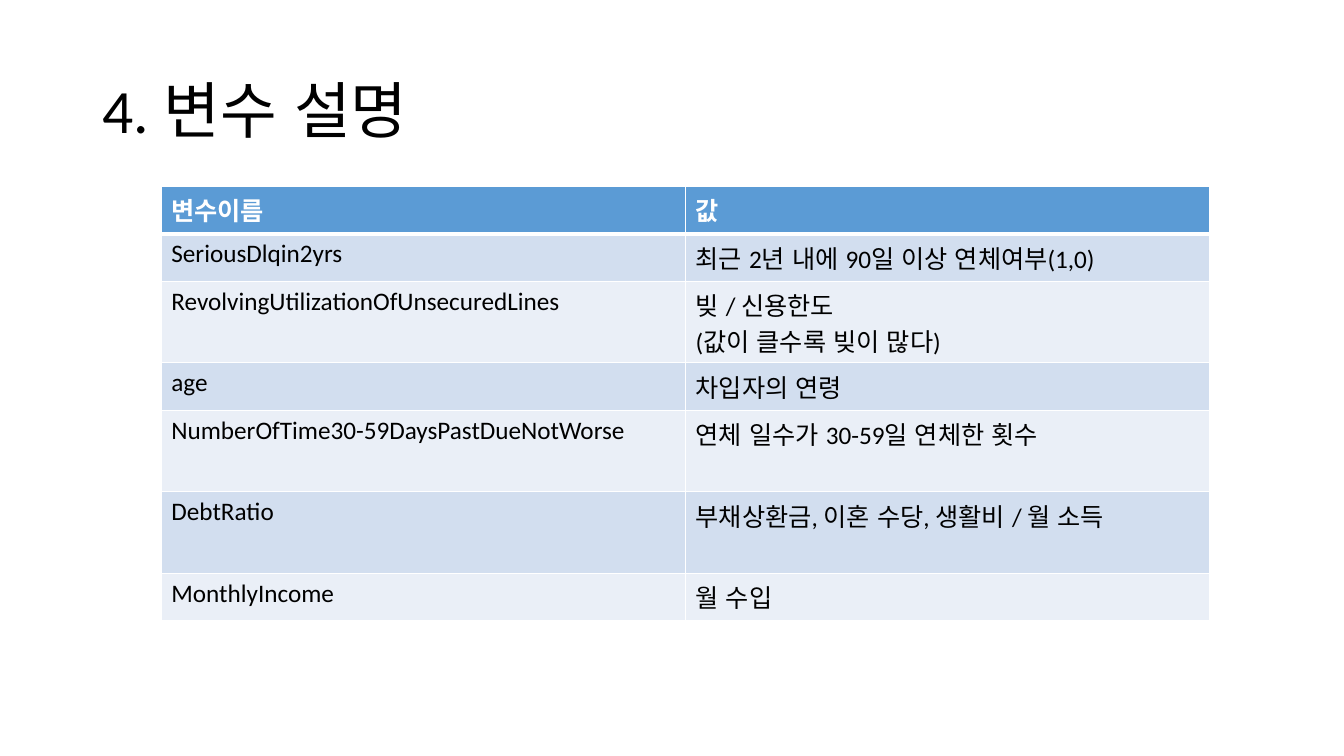
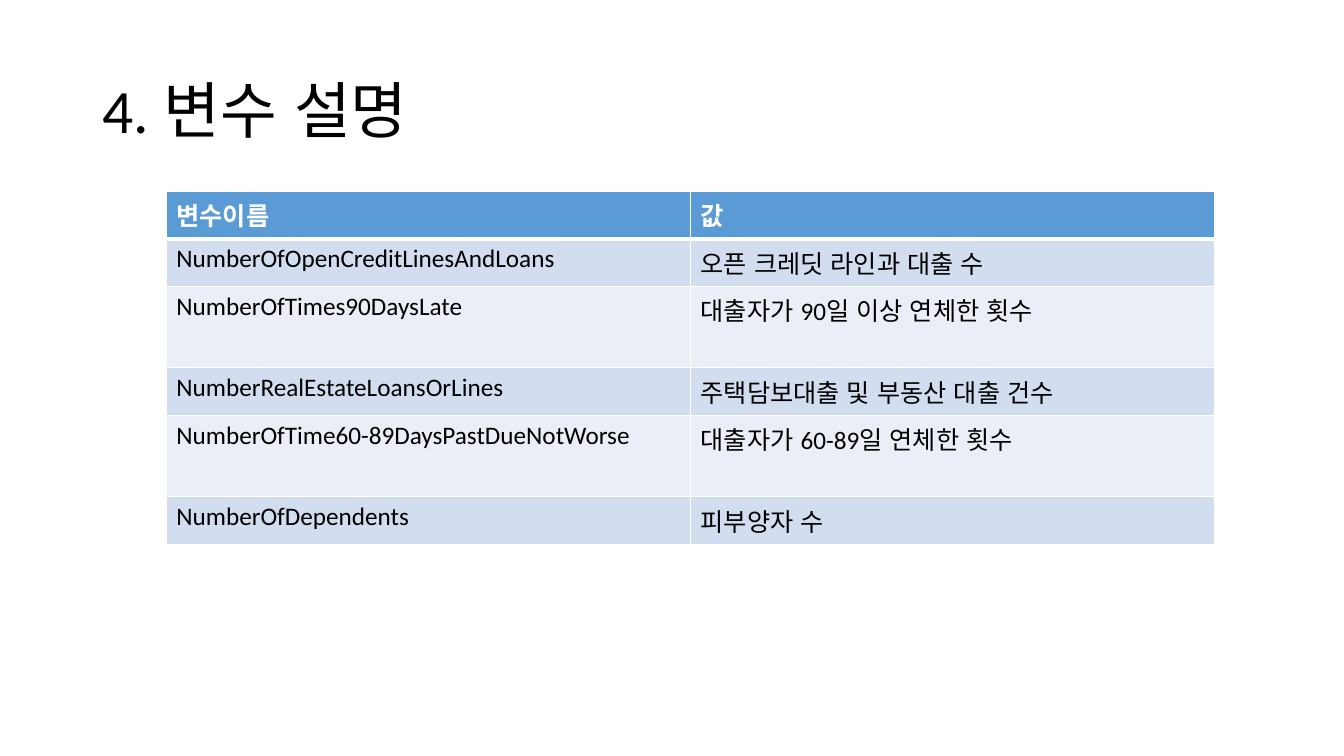
from lxml import etree
from pptx import Presentation
from pptx.dml.color import RGBColor
from pptx.enum.lang import MSO_LANGUAGE_ID as LANG
from pptx.enum.text import MSO_ANCHOR
from pptx.oxml.ns import qn
from pptx.util import Inches, Pt

# Content: table position and (variable, description lines, row height)
TITLE = "4. 변수 설명"
HEADER = ("변수이름", ["값"])
SINGLE, DOUBLE = 0.47, 0.81
SLIDES = [
    (1.6, 1.85, [
        ("SeriousDlqin2yrs", ["최근 2년 내에 90일 이상 연체여부(1,0)"], SINGLE),
        ("RevolvingUtilizationOfUnsecuredLines",
         ["빚 / 신용한도", "(값이 클수록 빚이 많다)"], DOUBLE),
        ("age", ["차입자의 연령"], SINGLE),
        ("NumberOfTime30-59DaysPastDueNotWorse",
         ["연체 일수가 30-59일 연체한 횟수"], DOUBLE),
        ("DebtRatio", ["부채상환금, 이혼 수당, 생활비 / 월 소득"], DOUBLE),
        ("MonthlyIncome", ["월 수입"], SINGLE),
    ]),
    (1.65, 1.9, [
        ("NumberOfOpenCreditLinesAndLoans", ["오픈 크레딧 라인과 대출 수"], SINGLE),
        ("NumberOfTimes90DaysLate", ["대출자가 90일 이상 연체한 횟수"], DOUBLE),
        ("NumberRealEstateLoansOrLines", ["주택담보대출 및 부동산 대출 건수"], SINGLE),
        ("NumberOfTime60-89DaysPastDueNotWorse",
         ["대출자가 60-89일 연체한 횟수"], DOUBLE),
        ("NumberOfDependents", ["피부양자 수"], SINGLE),
    ]),
]

# Shared style
FONT = "Calibri"
BLACK = RGBColor(0x00, 0x00, 0x00)
WHITE = RGBColor(0xFF, 0xFF, 0xFF)
BLUE = RGBColor(0x5B, 0x9B, 0xD5)
BANDS = (RGBColor(0xD2, 0xDE, 0xEF), RGBColor(0xEA, 0xEF, 0xF7))
COL_WIDTH = 5.2


def add_run(p, text, size, color, bold=False):
    r = p.add_run()
    r.text = text
    f = r.font
    f.name, f.size, f.bold = FONT, Pt(size), bold
    f.color.rgb = color
    f.language_id = LANG.KOREAN


def add_title(slide):
    tf = slide.shapes.add_textbox(
        Inches(0.92), Inches(0.4), Inches(11.5), Inches(1.45)).text_frame
    tf.word_wrap = True
    tf.vertical_anchor = MSO_ANCHOR.MIDDLE
    p = tf.paragraphs[0]
    p.line_spacing = 0.9
    add_run(p, TITLE, 44, BLACK)


def set_borders(cell, top, bottom):
    tcPr = cell._tc.get_or_add_tcPr()
    for side, width in (("L", 1), ("R", 1), ("T", top), ("B", bottom)):
        ln = etree.SubElement(tcPr, qn(f"a:ln{side}"), w=str(Pt(width)))
        fill = etree.SubElement(ln, qn("a:solidFill"))
        etree.SubElement(fill, qn("a:srgbClr"), val=str(WHITE))


def fill_cell(cell, lines, row):
    header = row == 0
    # The rule under the header is thicker
    set_borders(cell, 3 if row == 1 else 1, 3 if header else 1)
    cell.fill.solid()
    cell.fill.fore_color.rgb = BLUE if header else BANDS[(row - 1) % 2]
    tf = cell.text_frame
    for i, line in enumerate(lines):
        p = tf.add_paragraph() if i else tf.paragraphs[0]
        add_run(p, line, 18, WHITE if header else BLACK, header)


def add_variable_table(slide, left, top, variables):
    rows = [(*HEADER, SINGLE), *variables]
    height = sum(h for _, _, h in rows)
    table = slide.shapes.add_table(
        len(rows), 2, Inches(left), Inches(top),
        Inches(2 * COL_WIDTH), Inches(height)).table
    for col in table.columns:
        col.width = Inches(COL_WIDTH)
    for i, (name, description, h) in enumerate(rows):
        table.rows[i].height = Inches(h)
        fill_cell(table.cell(i, 0), [name], i)
        fill_cell(table.cell(i, 1), description, i)


def main():
    prs = Presentation()
    prs.slide_width, prs.slide_height = Inches(13.33), Inches(7.5)
    for left, top, variables in SLIDES:
        slide = prs.slides.add_slide(prs.slide_layouts[6])
        add_title(slide)
        add_variable_table(slide, left, top, variables)
    prs.save("out.pptx")


if __name__ == "__main__":
    main()
